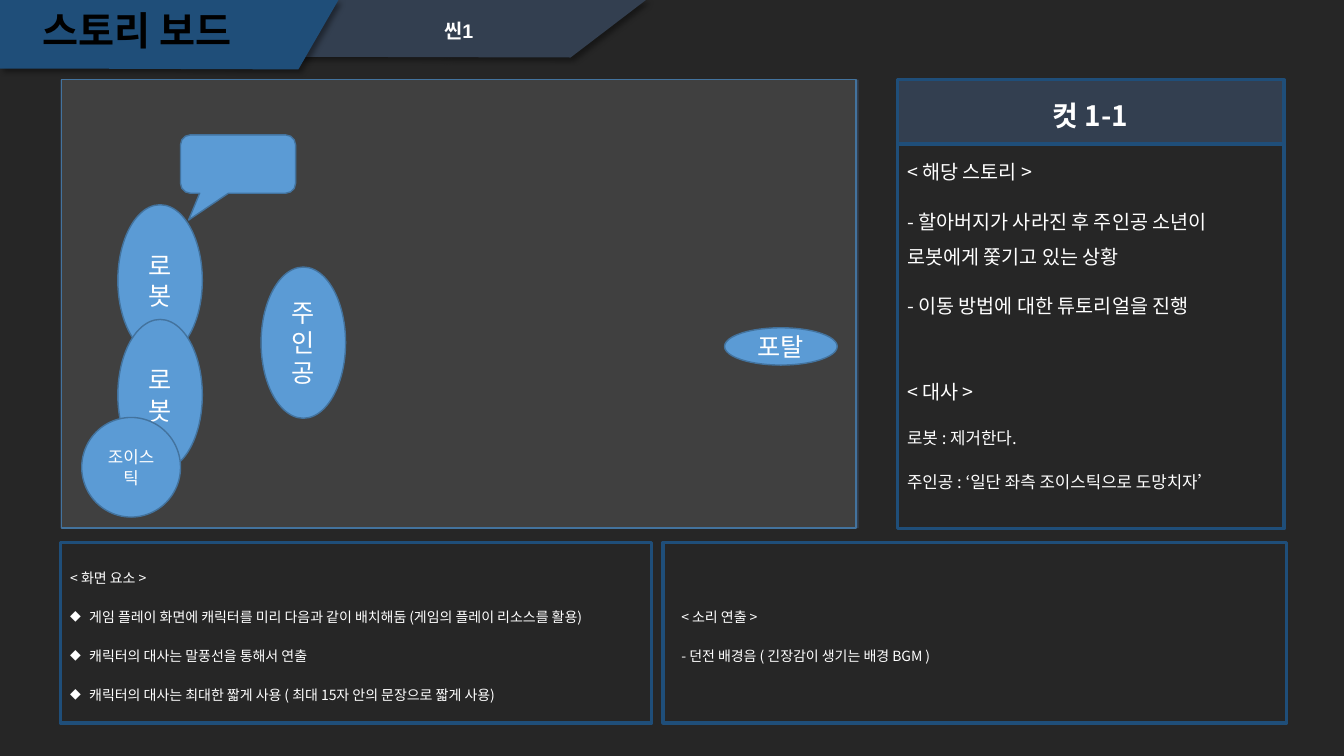
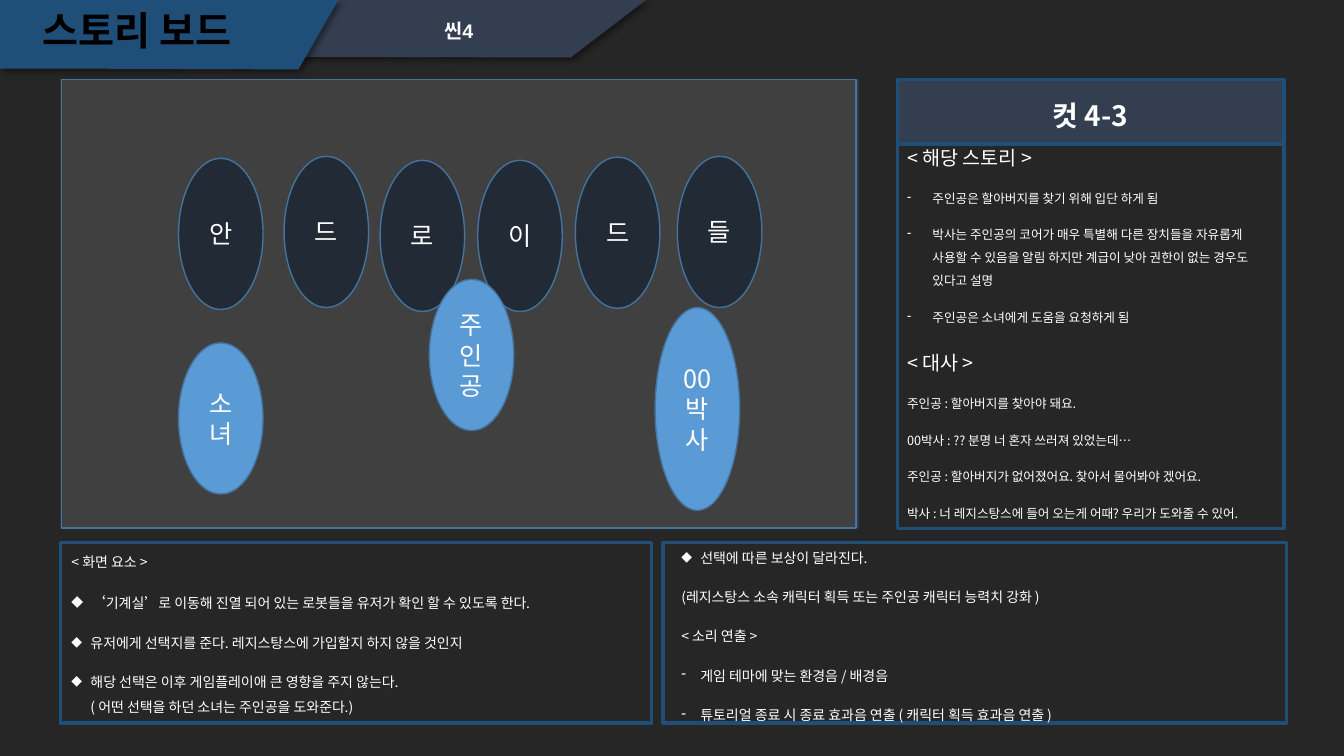
from copy import deepcopy

from pptx import Presentation
from pptx.dml.color import RGBColor
from pptx.enum.shapes import MSO_SHAPE
from pptx.enum.text import MSO_ANCHOR, MSO_AUTO_SIZE, PP_ALIGN
from pptx.oxml import parse_xml
from pptx.oxml.ns import nsdecls, qn
from pptx.oxml.xmlchemy import OxmlElement
from pptx.util import Cm, Pt

RECT, OVAL = MSO_SHAPE.RECTANGLE, MSO_SHAPE.OVAL
CALLOUT = MSO_SHAPE.ROUNDED_RECTANGULAR_CALLOUT
TOP, MIDDLE = MSO_ANCHOR.TOP, MSO_ANCHOR.MIDDLE
LEFT, CENTER = PP_ALIGN.LEFT, PP_ALIGN.CENTER
NO_FIT = MSO_AUTO_SIZE.NONE

BACKDROP = RGBColor(0x26, 0x26, 0x26)
NAVY = RGBColor(0x1F, 0x4E, 0x79)
SLATE = RGBColor(0x33, 0x3F, 0x50)
STAGE = RGBColor(0x40, 0x40, 0x40)
OUTLINE = RGBColor(0x43, 0x73, 0x9E)
BLUE = RGBColor(0x5B, 0x9B, 0xD5)
DARK = RGBColor(0x22, 0x2A, 0x35)
WHITE = RGBColor(0xFF, 0xFF, 0xFF)
BLACK = RGBColor(0x00, 0x00, 0x00)

HEAD_FONT, BODY_FONT = "Arial", "Noto Sans CJK KR"
HEADING = {"alignment": CENTER, "line_spacing": 0.9}
CUT = {"alignment": CENTER, "line_spacing": 1.5}
BODY = {"alignment": LEFT, "line_spacing": 1.5, "space_before": Pt(10)}
LABEL = {"alignment": CENTER}
BOLD_BLACK = {"name": HEAD_FONT, "bold": True, "color": BLACK}
BOLD_WHITE = {"name": HEAD_FONT, "bold": True, "color": WHITE}
CUT_FONT = {"name": BODY_FONT, "bold": True, "color": WHITE}
PLAIN = {"name": BODY_FONT, "bold": False, "color": WHITE}

BANDS = [
    (SLATE, [(0.13, 0), (16.28, 0), (14.38, 1.45), (3.5, 1.42), (0.13, 1.42)]),
    (NAVY, [(0, 0), (8.53, 0), (7.52, 1.75), (1.78, 1.73), (0, 1.73)]),
]
PANELS = [
    (None, NAVY, 2.25, (22.61, 3.63, 9.75, 9.7)),
    (SLATE, None, 0, (1.52, 2.01, 20.12, 11.3)),
    (SLATE, NAVY, 2.25, (22.61, 2.01, 9.75, 1.6)),
    (None, NAVY, 2.25, (1.52, 13.67, 14.91, 4.55)),
    (None, NAVY, 2.25, (16.71, 13.67, 15.72, 4.55)),
    (STAGE, OUTLINE, 1, (1.55, 2.01, 20.02, 11.3)),
]
FIGURE = (2.13, 3.81)
DIALOGUE_BOX = (22.61, 8.36, 9.78, 4.95)
SOUND_BOX = (16.92, 13.67, 15.39, 4.52)

BOARDS = [
    {
        "scene": "씬1",
        "cut": "컷 1-1",
        "actors": [
            (OVAL, "주인공", 18, BLUE, (6.58, 6.73, *FIGURE)),
            (OVAL, "로봇", 18, BLUE, (2.97, 5.16, *FIGURE)),
            (OVAL, "로봇", 18, BLUE, (2.97, 8.05, *FIGURE)),
            (CALLOUT, "", 18, BLUE, (4.55, 3.4, 2.9, 1.47)),
            (OVAL, "조이스틱", 12, BLUE, (2.06, 10.52, 2.49, 2.51)),
            (OVAL, "포탈", 18, BLUE, (18.26, 8.26, 2.84, 0.94)),
        ],
        "notes": [
            (DIALOGUE_BOX, 0, [
                ("", (14, "< 대사 >")),
                ("", (12, "로봇 : 제거한다.")),
                ("", (12, "주인공 : ‘일단 좌측 조이스틱으로 도망치자’")),
            ]),
            ((22.61, 3.4, 9.75, 4.95), 0, [
                ("", (14, "< 해당 스토리 >")),
                ("", (14, "- 할아버지가 사라진 후 주인공 소년이 로봇에게 쫓기고 있는 상황")),
                ("", (14, "- 이동 방법에 대한 튜토리얼을 진행")),
            ]),
            ((1.52, 13.67, 15.39, 4.52), 0.48, [
                ("", (10, "< 화면 요소 >")),
                ("◆", (10, "게임 플레이 화면에 캐릭터를 미리 다음과 같이 배치해둠 (게임의 플레이 리소스를 활용)")),
                ("◆", (10, "캐릭터의 대사는 말풍선을 통해서 연출")),
                ("◆", (10, "캐릭터의 대사는 최대한 짧게 사용 ( 최대 15자 안의 문장으로 짧게 사용)")),
            ]),
            (SOUND_BOX, 0, [
                ("", (10, "< 소리 연출 >")),
                ("", (10, "- 던전 배경음 ( 긴장감이 생기는 배경 BGM )")),
            ]),
        ],
    },
    {
        "scene": "씬4",
        "cut": "컷 4-3",
        "actors": [
            (OVAL, "안", 18, DARK, (4.5, 3.99, *FIGURE)),
            (OVAL, "드", 18, DARK, (7.16, 3.94, *FIGURE)),
            (OVAL, "로", 18, DARK, (9.58, 4.04, *FIGURE)),
            (OVAL, "이", 18, DARK, (12.04, 4.04, *FIGURE)),
            (OVAL, "드", 18, DARK, (14.5, 3.96, *FIGURE)),
            (OVAL, "들", 18, DARK, (17.07, 3.94, *FIGURE)),
            (OVAL, "주인공", 18, BLUE, (10.82, 7.04, *FIGURE)),
            (OVAL, "소녀", 18, BLUE, (4.5, 8.64, *FIGURE)),
            (OVAL, "00박사", 18, BLUE, (16.51, 7.75, 2.13, 5.11)),
        ],
        "notes": [
            (DIALOGUE_BOX, 0, [
                ("", (14, "< 대사 >")),
                ("", (9, "주인공 : 할아버지를 찾아야 돼요.")),
                ("", (9, "00박사 : ?? 분명 너 혼자 쓰러져 있었는데…")),
                ("", (9, "주인공 : 할아버지가 없어졌어요. 찾아서 물어봐야 겠어요.")),
                ("", (9, "박사 : 너 레지스탕스에 들어 오는게 어때? 우리가 도와줄 수 있어.")),
            ]),
            ((22.61, 3.3, 9.75, 4.95), 0.64, [
                ("", (14, "< 해당 스토리 >")),
                ("-", (9, "주인공은 할아버지를 찾기 위해 입단 하게 됨")),
                ("-", (9, "박사는 주인공의 코어가 매우 특별해 다른 장치들을 자유롭게 사용할 수 있음을 알림 "
                          "하지만 계급이 낮아 권한이 없는 경우도 있다고 설명")),
                ("-", (9, "주인공은 소녀에게 도움을 요청하게 됨")),
            ]),
            ((1.55, 13.46, 15.39, 4.85), 0.48, [
                ("", (10, "< 화면 요소 >")),
                ("◆", (11, "‘"), (10, "기계실’로 이동해 진열 되어 있는 로봇들을 유저가 확인 할 수 있도록 한다.")),
                ("◆", (10, "유저에게 선택지를 준다. 레지스탕스에 가입할지 하지 않을 것인지")),
                ("◆", (10, "해당 선택은 이후 게임플레이애 큰 영향을 주지 않는다."), (10, "\n"),
                 (10, "( 어떤 선택을 하던 소녀는 주인공을 도와준다.)")),
            ]),
            (SOUND_BOX, 0.48, [
                ("◆", (10, "선택에 따른 보상이 달라진다.")),
                ("", (10, "(레지스탕스 소속 캐릭터 획득 또는 주인공 캐릭터 능력치 강화 )")),
                ("", (10, "< 소리 연출 >")),
                ("-", (10, "게임 테마에 맞는 환경음 / 배경음")),
                ("-", (10, "튜토리얼 종료 시 종료 효과음 연출 ( 캐릭터 획득 효과음 연출 )")),
            ]),
        ],
    },
]


def paint(shape, fill, line, width):
    shape.shadow.inherit = False
    if fill is None:
        shape.fill.background()
    else:
        shape.fill.solid()
        shape.fill.fore_color.rgb = fill
    if line is None:
        shape.line.fill.background()
    else:
        shape.line.color.rgb = line
        shape.line.width = Pt(width)


def write(frame, paragraphs, layout, font, anchor=MIDDLE, indent=0):
    for name, value in {"word_wrap": True, "auto_size": NO_FIT, "vertical_anchor": anchor}.items():
        setattr(frame, name, value)
    for index, (bullet, *pieces) in enumerate(paragraphs):
        paragraph = frame.add_paragraph() if index else frame.paragraphs[0]
        for name, value in layout.items():
            setattr(paragraph, name, value)
        if index == 0:
            paragraph.space_before = Pt(0)
        if bullet:
            properties = paragraph._p.get_or_add_pPr()
            properties.set("marL", str(Cm(indent)))
            properties.set("indent", str(-Cm(indent)))
            mark = OxmlElement("a:buChar")
            mark.set("char", bullet)
            properties.append(mark)
        for size, text in pieces:
            if text == "\n":
                paragraph.add_line_break()
                continue
            run = paragraph.add_run()
            run.text = text
            run.font.size = Pt(size)
            run.font.bold = font["bold"]
            run.font.color.rgb = font["color"]
            run.font.name = font["name"]
            east_asian = OxmlElement("a:ea")
            east_asian.set("typeface", BODY_FONT)
            run._r.get_or_add_rPr().append(east_asian)
        for line_break in paragraph._p.findall(qn("a:br")):
            line_break.insert(0, deepcopy(paragraph.runs[0]._r.rPr))


prs = Presentation()
prs.slide_width, prs.slide_height = Cm(33.87), Cm(19.05)
backdrop = prs.slide_master.background.fill
backdrop.solid()
backdrop.fore_color.rgb = BACKDROP
title_only = prs.slide_layouts[5]

for board in BOARDS:
    slide = prs.slides.add_slide(title_only)
    shapes = slide.shapes

    for color, corners in BANDS:
        points = [(Cm(x), Cm(y)) for x, y in corners]
        outline = shapes.build_freeform(*points[0])
        outline.add_line_segments(points[1:], close=True)
        band = outline.convert_to_shape()
        paint(band, color, None, 0)
        band.element.spPr.find(qn("a:effectLst")).append(parse_xml(
            f'<a:outerShdw {nsdecls("a")} blurRad="{Pt(4)}" dist="{Pt(3)}" dir="2700000" algn="tl" rotWithShape="0">'
            '<a:srgbClr val="000000"><a:alpha val="40000"/></a:srgbClr></a:outerShdw>'))

    for fill, line, width, place in PANELS:
        paint(shapes.add_shape(RECT, *map(Cm, place)), fill, line, width)

    title = shapes.title
    title.element.getparent().append(title.element)
    for name, value in {"left": 0.08, "top": 0.15, "width": 6.76, "height": 1.35}.items():
        setattr(title, name, Cm(value))
    write(title.text_frame, [("", (28, "스토리 보드"))], HEADING, BOLD_BLACK)

    scene = shapes.add_textbox(Cm(10.29), Cm(0.41), Cm(2.54), Cm(0.81))
    write(scene.text_frame, [("", (14, board["scene"]))], HEADING, BOLD_WHITE, TOP)
    cut = shapes.add_textbox(Cm(22.61), Cm(2.01), Cm(9.73), Cm(1.37))
    write(cut.text_frame, [("", (20, board["cut"]))], CUT, CUT_FONT)

    for kind, label, size, fill, place in board["actors"]:
        actor = shapes.add_shape(kind, *map(Cm, place))
        paint(actor, fill, OUTLINE, 1)
        if kind == CALLOUT:
            for index, value in enumerate((-0.43, 0.96, 0.17)):
                actor.adjustments[index] = value
        if label:
            write(actor.text_frame, [("", (size, label))], LABEL, PLAIN)

    for place, indent, paragraphs in board["notes"]:
        note = shapes.add_textbox(*map(Cm, place))
        write(note.text_frame, paragraphs, BODY, PLAIN, indent=indent)

prs.save("out.pptx")
